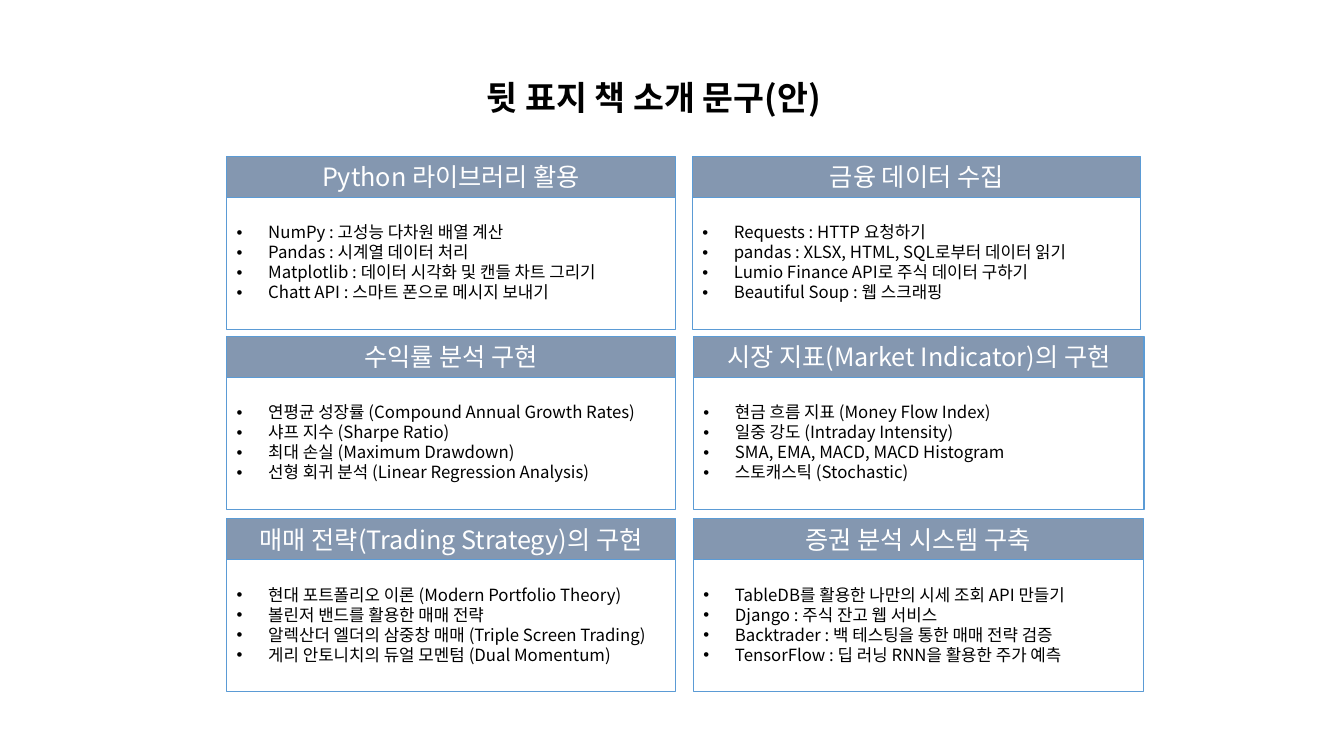
import pptx
import pptx.dml.color
import pptx.enum.shapes
import pptx.enum.text
import pptx.util
import lxml.etree

Pt = pptx.util.Pt
ALIGN = pptx.enum.text.PP_ALIGN
ANCHOR = pptx.enum.text.MSO_ANCHOR
COLORS = {"header": "8497B0", "border": "5B9BD5", "light": "FFFFFF", "ink": "000000"}
FONT = "Noto Sans CJK KR"
LINE_RATIO = 1.19
HEADER_HEIGHT, BODY_HEIGHT = 29, 94.3
INDENT = 22.5
LEFT_COLUMN = (162, 320.4)

ROWS = [
    (111.8, LEFT_COLUMN, (494.6, 320.4), [
        ("Python 라이브러리 활용", [
            "NumPy : 고성능 다차원 배열 계산",
            "Pandas : 시계열 데이터 처리",
            "Matplotlib : 데이터 시각화 및 캔들 차트 그리기",
            "Chatt API : 스마트 폰으로 메시지 보내기"]),
        ("금융 데이터 수집", [
            "Requests : HTTP 요청하기",
            "pandas : XLSX, HTML, SQL로부터 데이터 읽기",
            "Lumio Finance API로 주식 데이터 구하기",
            "Beautiful Soup : 웹 스크래핑"])]),
    (240.4, LEFT_COLUMN, (495.4, 321.8), [
        ("수익률 분석 구현", [
            "연평균 성장률 (Compound Annual Growth Rates)",
            "샤프 지수 (Sharpe Ratio)",
            "최대 손실 (Maximum Drawdown)",
            "선형 회귀 분석 (Linear Regression Analysis)"]),
        ("시장 지표(Market Indicator)의 구현", [
            "현금 흐름 지표 (Money Flow Index)",
            "일중 강도 (Intraday Intensity)",
            "SMA, EMA, MACD, MACD Histogram",
            "스토캐스틱 (Stochastic)"])]),
    (370.7, LEFT_COLUMN, (495.4, 321.1), [
        ("매매 전략(Trading Strategy)의 구현", [
            "현대 포트폴리오 이론 (Modern Portfolio Theory)",
            "볼린저 밴드를 활용한 매매 전략",
            "알렉산더 엘더의 삼중창 매매 (Triple Screen Trading)",
            "게리 안토니치의 듀얼 모멘텀 (Dual Momentum)"]),
        ("증권 분석 시스템 구축", [
            "TableDB를 활용한 나만의 시세 조회 API 만들기",
            "Django : 주식 잔고 웹 서비스",
            "Backtrader : 백 테스팅을 통한 매매 전략 검증",
            "TensorFlow : 딥 러닝 RNN을 활용한 주가 예측"])]),
]


def rgb(name):
    return pptx.dml.color.RGBColor.from_string(COLORS[name])


def apply(target, values):
    for name, value in values.items():
        setattr(target, name, value)


def add_child(parent, tag, **attributes):
    name = pptx.oxml.ns.qn(tag)
    lxml.etree.SubElement(parent, name, attributes)


def write_text(box, lines, size, color, align, bold=False, bullets=False, **frame_format):
    frame = box.text_frame
    apply(frame, {"word_wrap": True, **frame_format})
    for index, line in enumerate(lines):
        para = frame.paragraphs[0] if index == 0 else frame.add_paragraph()
        apply(para, {"alignment": align, "line_spacing": Pt(size * LINE_RATIO)})
        if bullets:
            properties = para._p.get_or_add_pPr()
            properties.set("marL", str(Pt(INDENT)))
            properties.set("indent", str(-Pt(INDENT)))
            add_child(properties, "a:buFont", typeface="Arial")
            add_child(properties, "a:buChar", char="•")
        span = para.add_run()
        span.text = line
        apply(span.font, {"name": FONT, "size": Pt(size), "bold": bold})
        span.font.color.rgb = rgb(color)
        add_child(span.font._element, "a:ea", typeface=FONT)


def add_box(page, left, top, width, height, fill=None):
    box = page.shapes.add_shape(pptx.enum.shapes.MSO_SHAPE.RECTANGLE,
                                Pt(left), Pt(top), Pt(width), Pt(height))
    box.shadow.inherit = False
    if fill:
        box.fill.solid()
        box.fill.fore_color.rgb = rgb(fill)
    else:
        box.fill.background()
    box.line.color.rgb = rgb("border")
    box.line.width = Pt(0.75)
    return box


def add_title(page, text):
    box = page.shapes.add_textbox(Pt(340.6), Pt(51.8), Pt(301.7), Pt(36))
    write_text(box, [text], 24, "ink", ALIGN.LEFT, bold=True)


def add_panel(page, left, top, width, heading, topics):
    header = add_box(page, left, top, width, HEADER_HEIGHT, "header")
    write_text(header, [heading], 18, "light", ALIGN.CENTER, vertical_anchor=ANCHOR.MIDDLE)
    body = add_box(page, left, top + HEADER_HEIGHT, width, BODY_HEIGHT)
    write_text(body, topics, 12, "ink", ALIGN.LEFT, bullets=True,
               vertical_anchor=ANCHOR.TOP, margin_top=Pt(18))


def main():
    deck = pptx.Presentation()
    apply(deck, {"slide_width": Pt(960), "slide_height": Pt(540)})
    page = deck.slides.add_slide(deck.slide_layouts[6])
    add_title(page, "뒷 표지 책 소개 문구(안)")
    for top, first, second, panels in ROWS:
        for (left, width), (heading, topics) in zip((first, second), panels):
            add_panel(page, left, top, width, heading, topics)
    deck.save("out.pptx")


main()
